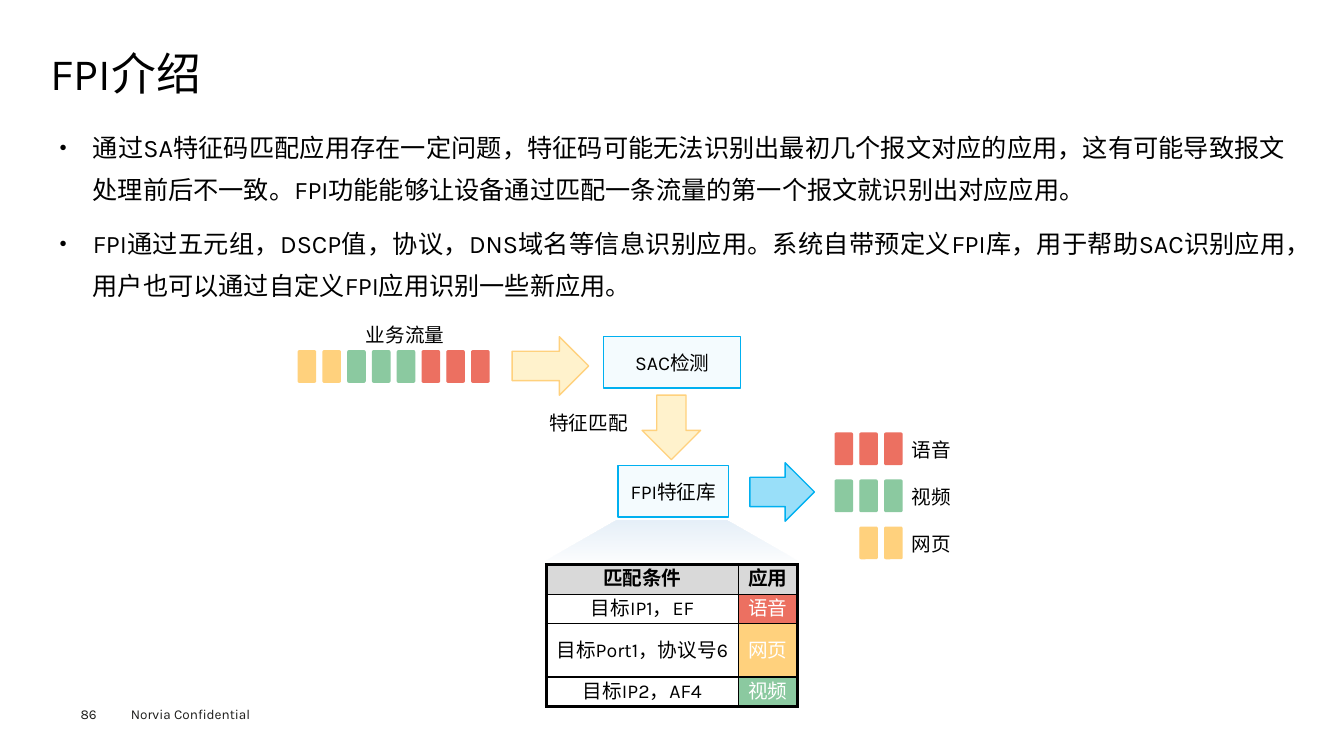
from lxml.etree import SubElement
from pptx import Presentation
from pptx.dml.color import RGBColor
from pptx.enum.lang import MSO_LANGUAGE_ID
from pptx.enum.shapes import MSO_SHAPE
from pptx.enum.text import MSO_ANCHOR, MSO_AUTO_SIZE, PP_ALIGN
from pptx.oxml import parse_xml
from pptx.oxml.ns import nsdecls, qn
from pptx.util import Pt

RED, GREEN, YELLOW = "EC7061", "8BC9A0", "FFD17D"
BLACK, WHITE, BLUE = "000000", "FFFFFF", "00B0F0"


def color(value):
    return RGBColor.from_string(value)


class SlideBuilder:
    font_name = "Karla"

    def __init__(self, slide):
        self.slide = slide

    def format_text(self, paragraph, size, text_color=BLACK, bold=False, align=PP_ALIGN.LEFT):
        paragraph.alignment = align
        for run in paragraph.runs:
            run.font.name = self.font_name
            run.font.size = Pt(size)
            run.font.bold = bold
            run.font.color.rgb = color(text_color)
            run.font.language_id = MSO_LANGUAGE_ID.SIMPLIFIED_CHINESE
            SubElement(run.font._element, qn("a:ea"), typeface=self.font_name)

    def set_margins(self, holder, horizontal, vertical):
        holder.margin_left = holder.margin_right = Pt(horizontal)
        holder.margin_top = holder.margin_bottom = Pt(vertical)

    def title(self, text, left, top, width, height):
        shape = self.slide.shapes.title
        shape.left, shape.top, shape.width, shape.height = map(Pt, (left, top, width, height))
        frame = shape.text_frame
        frame.text = text
        frame.auto_size = MSO_AUTO_SIZE.NONE
        frame.vertical_anchor = MSO_ANCHOR.MIDDLE
        self.set_margins(frame, 0, 0)
        frame.paragraphs[0].line_spacing = 0.9
        self.format_text(frame.paragraphs[0], 32)

    def text(self, text, left, top, width, height, size=14, text_color=BLACK, margins=(7.2, 3.6)):
        box = self.slide.shapes.add_textbox(Pt(left), Pt(top), Pt(width), Pt(height))
        frame = box.text_frame
        frame.word_wrap = False
        frame.auto_size = MSO_AUTO_SIZE.SHAPE_TO_FIT_TEXT
        self.set_margins(frame, *margins)
        frame.text = text
        self.format_text(frame.paragraphs[0], size, text_color)

    def bullets(self, texts, left, top, width, height):
        box = self.slide.shapes.add_textbox(Pt(left), Pt(top), Pt(width), Pt(height))
        frame = box.text_frame
        frame.word_wrap = True
        self.set_margins(frame, 6.5, 3)
        for index, text in enumerate(texts):
            paragraph = frame.add_paragraph() if index else frame.paragraphs[0]
            paragraph.text = text
            paragraph.line_spacing = 1.4
            paragraph.space_before = Pt(7.9 if index else 0)
            properties = paragraph._p.get_or_add_pPr()
            properties.set("marL", str(Pt(23.8)))
            properties.set("indent", str(-Pt(23.8)))
            SubElement(properties, qn("a:buSzPct"), val="50000")
            SubElement(properties, qn("a:buFont"), typeface="Arial")
            SubElement(properties, qn("a:buChar"), char="●")
            self.format_text(paragraph, 18, align=PP_ALIGN.JUSTIFY)

    def shape(self, kind, left, top, width, height, fill, line, text="", rotation=0):
        shape = self.slide.shapes.add_shape(kind, Pt(left), Pt(top), Pt(width), Pt(height))
        shape.shadow.inherit = False
        shape.rotation = rotation
        shape.fill.solid()
        shape.fill.fore_color.rgb = color(fill)
        shape.line.color.rgb = color(line)
        shape.line.width = Pt(1)
        if text:
            frame = shape.text_frame
            frame.text = text
            frame.vertical_anchor = MSO_ANCHOR.MIDDLE
            self.set_margins(frame, 3.6, 3.6)
            self.format_text(frame.paragraphs[0], 14, align=PP_ALIGN.CENTER)
        return shape

    def packets(self, colors, left, top):
        for index, fill in enumerate(colors):
            packet = self.shape(MSO_SHAPE.ROUNDED_RECTANGLE, left + 17.7 * index, top,
                                12.3, 22.4, fill, fill)
            packet.adjustments[0] = 0.067

    def fan(self, left, top, width, height):
        shape = self.slide.shapes.add_shape(
            MSO_SHAPE.TRAPEZOID, Pt(left), Pt(top), Pt(width), Pt(height))
        shape.shadow.inherit = False
        shape.adjustments[0] = 1.758
        shape.line.fill.background()
        shape.fill.gradient()
        shape.fill.gradient_angle = 90
        for stop, value in zip(shape.fill.gradient_stops, ("F7FAFD", "CEE1F2")):
            stop.color.rgb = color(value)
        for stop_color in shape._element.spPr.iter(qn("a:srgbClr")):
            SubElement(stop_color, qn("a:alpha"), val="50000")

    def borders(self, cell, widths):
        properties = cell._tc.get_or_add_tcPr()
        for index, (side, width) in enumerate(zip("LRTB", widths)):
            properties.insert(index, parse_xml(
                f'<a:ln{side} {nsdecls("a")} w="{Pt(width)}"><a:solidFill>'
                f'<a:srgbClr val="{BLACK}"/></a:solidFill></a:ln{side}>'))

    def table(self, rows, column_widths, row_height, left, top):
        frame = self.slide.shapes.add_table(
            len(rows), len(column_widths), Pt(left), Pt(top),
            Pt(sum(column_widths)), Pt(row_height * len(rows)))
        table = frame.table
        last_row, last_column = len(rows) - 1, len(column_widths) - 1
        for column, width in zip(table.columns, column_widths):
            column.width = Pt(width)
        for row_index, row in enumerate(rows):
            table.rows[row_index].height = Pt(row_height)
            for column_index, (text, fill, text_color) in enumerate(row):
                cell = table.cell(row_index, column_index)
                cell.text = text
                cell.vertical_anchor = MSO_ANCHOR.MIDDLE
                self.set_margins(cell, 4.3, 2.2)
                self.format_text(cell.text_frame.paragraphs[0], 14, text_color,
                                 row_index == 0, PP_ALIGN.CENTER)
                if fill:
                    cell.fill.solid()
                    cell.fill.fore_color.rgb = color(fill)
                else:
                    cell.fill.background()
                outer = (column_index == 0, column_index == last_column,
                         row_index == 0, row_index == last_row)
                self.borders(cell, [2.25 if edge else 1 for edge in outer])


def main():
    presentation = Presentation()
    presentation.slide_width, presentation.slide_height = Pt(960), Pt(540)
    builder = SlideBuilder(presentation.slides.add_slide(presentation.slide_layouts[5]))

    builder.text("Norvia Confidential", 86.4, 500.4, 115, 19.4, 9.7, "1D1D1B")
    builder.text("86", 57.6, 504, 39.6, 11.5, 9.7, "1D1D1B", (0, 0))
    builder.title("FPI介绍", 36, 35.3, 889, 38.2)
    builder.bullets([
        "通过SA特征码匹配应用存在一定问题，特征码可能无法识别出最初几个报文对应的应用，这有可能导致报文处理前后不一致。FPI功能能够让设备通过匹配一条流量的第一个报文就识别出对应应用。",
        "FPI通过五元组，DSCP值，协议，DNS域名等信息识别应用。系统自带预定义FPI库，用于帮助SAC识别应用，用户也可以通过自定义FPI应用识别一些新应用。",
    ], 36, 82.8, 889, 384.5)

    builder.packets([YELLOW] * 2 + [GREEN] * 3 + [RED] * 3, 213.1, 250.6)
    builder.text("业务流量", 254.2, 226.8, 71.3, 24.5)
    builder.text("特征匹配", 385.2, 290.2, 71.3, 24.5)
    builder.shape(MSO_SHAPE.RECTANGLE, 431.3, 240.5, 97.9, 36.7, "F4FBFE", BLUE, "SAC检测")
    builder.shape(MSO_SHAPE.RECTANGLE, 441.4, 332.6, 79.2, 36.7, "F4FBFE", BLUE, "FPI特征库")
    arrow = MSO_SHAPE.RIGHT_ARROW
    builder.shape(arrow, 365.8, 240.5, 54.7, 41.8, "FFF2CC", YELLOW)
    builder.shape(arrow, 456.5, 284.4, 46.1, 41.8, "FFF2CC", YELLOW, rotation=90)
    builder.shape(arrow, 535.7, 330.5, 46.1, 41.8, "99DFF9", BLUE)

    applications = [("语音", RED, 3), ("视频", GREEN, 3), ("网页", YELLOW, 2)]
    for index, (name, fill, count) in enumerate(applications):
        top = 309.4 + 33.6 * index
        builder.packets([fill] * count, 649.7 - 17.7 * count, top)
        builder.text(name, 644.2, top - 0.4, 42.5, 24.5)

    builder.fan(390.2, 371.5, 179.3, 28.8)
    builder.table([
        [("匹配条件", "D9D9D9", BLACK), ("应用", "D9D9D9", BLACK)],
        [("目标IP1，EF", None, BLACK), ("语音", RED, WHITE)],
        [("目标Port1，协议号6", None, BLACK), ("网页", YELLOW, WHITE)],
        [("目标IP2，AF4", None, BLACK), ("视频", GREEN, WHITE)],
    ], [137.2, 42.1], 20.9, 390.2, 403.2)

    presentation.save("out.pptx")


if __name__ == "__main__":
    main()
